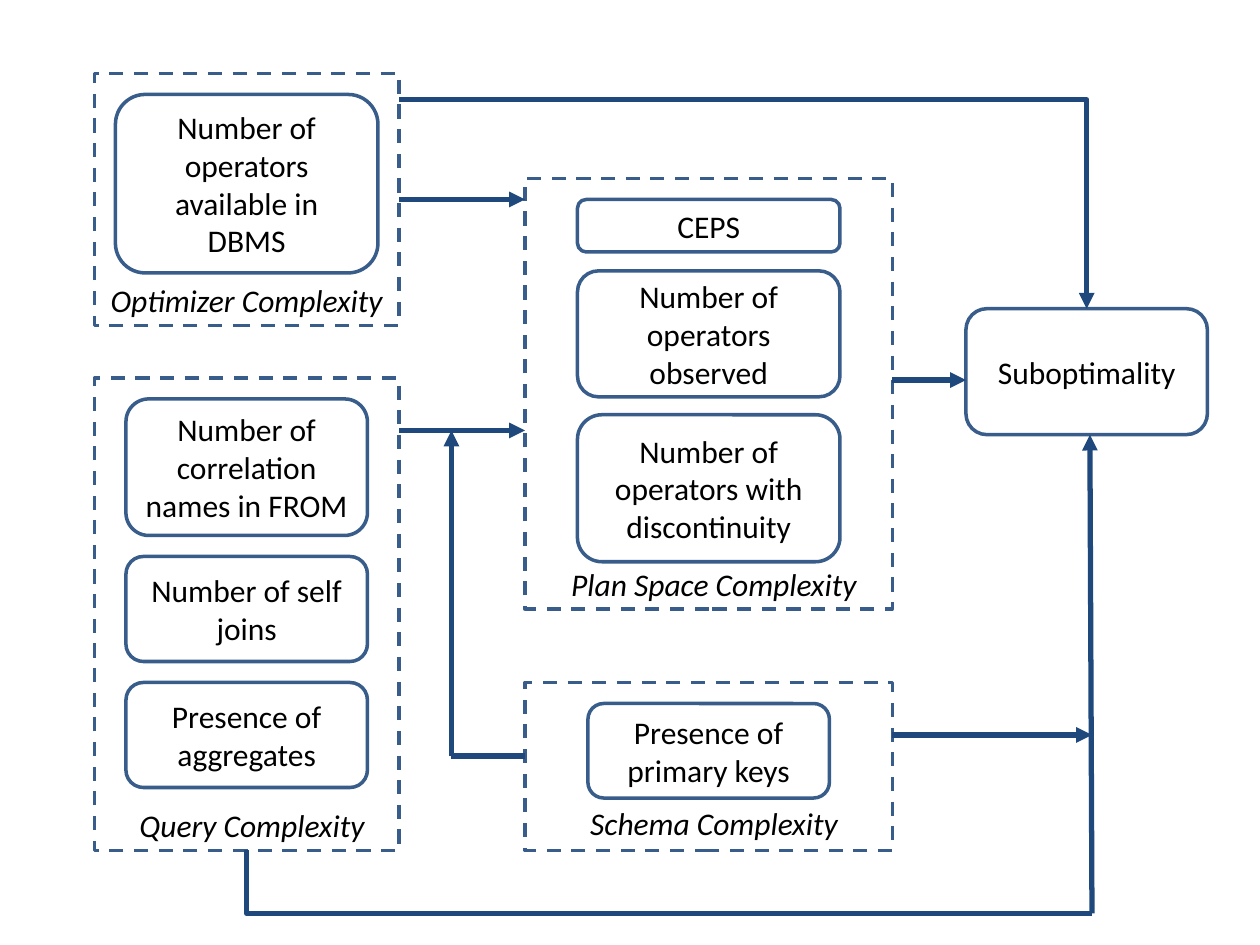
from lxml.etree import SubElement
from pptx import Presentation
from pptx.dml.color import RGBColor
from pptx.enum.dml import MSO_LINE
from pptx.enum.shapes import MSO_CONNECTOR, MSO_SHAPE
from pptx.enum.text import MSO_ANCHOR, PP_ALIGN
from pptx.oxml.ns import qn
from pptx.util import Emu, Pt

PX = 7620
OUTLINE = RGBColor(0x38, 0x5D, 0x8A)
ARROW = RGBColor(0x1F, 0x49, 0x7D)
INK = RGBColor(0, 0, 0)


def px(*lengths):
    return [Emu(length * PX) for length in lengths]


class Diagram:
    font = "Calibri"
    size = Pt(18)

    def __init__(self, deck):
        self.page = deck.slides.add_slide(deck.slide_layouts[6])

    def label(self, box, text, anchor, italic=False):
        frame = box.text_frame
        frame.word_wrap = True
        frame.vertical_anchor = anchor
        frame.text = text
        paragraph = frame.paragraphs[0]
        paragraph.alignment = PP_ALIGN.CENTER
        font = paragraph.runs[0].font
        font.name, font.size, font.italic = self.font, self.size, italic
        font.color.rgb = INK

    def outline(self, kind, bounds):
        box = self.page.shapes.add_shape(kind, *px(*bounds))
        box.shadow.inherit = False
        box.fill.background()
        box.line.color.rgb = OUTLINE
        box.line.width = Pt(2)
        return box

    def group(self, *bounds):
        box = self.outline(MSO_SHAPE.RECTANGLE, bounds)
        box.line.dash_style = MSO_LINE.DASH

    def factor(self, text, *bounds):
        box = self.outline(MSO_SHAPE.ROUNDED_RECTANGLE, bounds)
        self.label(box, text, MSO_ANCHOR.MIDDLE)

    def caption(self, text, left, top, width):
        box = self.page.shapes.add_textbox(*px(left, top, width, 48))
        self.label(box, text, MSO_ANCHOR.TOP, italic=True)

    def link(self, *ends, arrow=True, bent=False):
        kind = MSO_CONNECTOR.ELBOW if bent else MSO_CONNECTOR.STRAIGHT
        line = self.page.shapes.add_connector(kind, *px(*ends))
        line.line.color.rgb = ARROW
        line.line.width = Pt(3)
        properties = line._element.spPr
        if bent:
            properties.find(qn("a:prstGeom")).set("prst", "bentConnector2")
        if arrow:
            SubElement(properties.find(qn("a:ln")), qn("a:tailEnd"), type="triangle")
        SubElement(properties, qn("a:effectLst"))


def main():
    deck = Presentation()
    deck.slide_width, deck.slide_height = px(1200, 900)
    diagram = Diagram(deck)

    diagram.group(90, 70, 290, 240)
    diagram.factor("Number of operators available in DBMS", 110, 90, 250, 170)
    diagram.caption("Optimizer Complexity", 90, 262, 290)

    diagram.group(90, 360, 290, 450)
    for text, top, height in (
        ("Number of correlation names in FROM", 380, 130),
        ("Number of self joins", 530, 100),
        ("Presence of aggregates", 650, 100),
    ):
        diagram.factor(text, 120, top, 230, height)
    diagram.caption("Query Complexity", 100, 762, 280)

    diagram.group(500, 170, 350, 410)
    for text, top, height in (
        ("CEPS", 190, 50),
        ("Number of operators observed", 258, 120),
        ("Number of operators with discontinuity", 395, 140),
    ):
        diagram.factor(text, 550, top, 250, height)
    diagram.caption("Plan Space Complexity", 510, 532, 340)

    diagram.group(500, 650, 350, 160)
    diagram.factor("Presence of primary keys", 560, 670, 230, 90)
    diagram.caption("Schema Complexity", 510, 760, 340)

    diagram.factor("Suboptimality", 920, 294, 230, 120)

    for ends in (
        (380, 190, 500, 190),
        (380, 410, 500, 410),
        (850, 362, 920, 362),
        (850, 700, 1040, 700),
        (430, 720, 430, 410),
        (1040, 870, 1038, 414),
    ):
        diagram.link(*ends)
    diagram.link(430, 720, 500, 720, arrow=False)
    diagram.link(380, 95, 1035, 294, bent=True)
    diagram.link(1040, 870, 235, 810, arrow=False, bent=True)

    deck.save("out.pptx")


if __name__ == "__main__":
    main()
